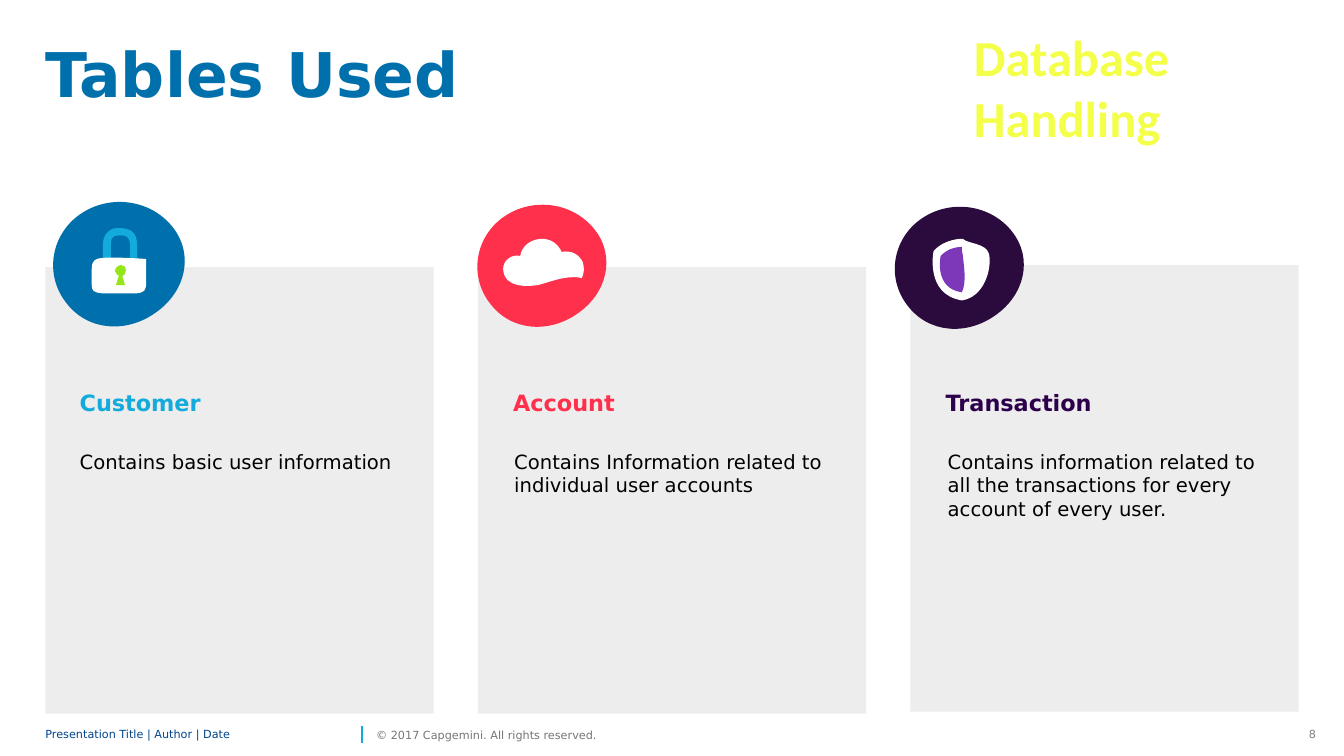
from lxml import etree
from pptx import Presentation
from pptx.dml.color import RGBColor
from pptx.enum import shapes, text
from pptx.oxml import ns
from pptx.util import Inches, Pt

SANS = "DejaVu Sans"
PITCH = 4.29
BLOB = [(0.21, 1.06), (0, 0.79, 0.06, 0.4, 0.35, 0.2), (0.64, 0, 1.04, 0.06, 1.25, 0.33),
        (1.46, 0.6, 1.37, 0.96, 1.08, 1.16), (0.8, 1.36, 0.42, 1.34, 0.21, 1.06)]
SHACKLE = [(1.1, 2.66), (1.02, 2.66, 1.02, 2.66, 1.02, 2.66),
           (1.02, 2.6, 1.02, 2.44, 1.02, 2.44), (1.02, 2.41, 1.02, 2.31, 1.12, 2.27),
           (1.16, 2.26, 1.2, 2.26, 1.25, 2.27), (1.32, 2.28, 1.36, 2.34, 1.36, 2.43),
           (1.36, 2.66, 1.36, 2.66, 1.36, 2.66), (1.29, 2.66, 1.29, 2.66, 1.29, 2.66),
           (1.29, 2.43, 1.29, 2.43, 1.29, 2.43), (1.29, 2.38, 1.27, 2.35, 1.24, 2.34),
           (1.2, 2.33, 1.17, 2.34, 1.14, 2.34), (1.11, 2.35, 1.1, 2.37, 1.1, 2.44),
           (1.1, 2.44, 1.1, 2.6, 1.1, 2.66)]
LOCK_BODY = [(1.01, 2.91), (1.07, 2.91, 1.31, 2.91, 1.36, 2.91),
             (1.43, 2.9, 1.45, 2.89, 1.45, 2.79), (1.45, 2.79, 1.45, 2.65, 1.45, 2.57),
             (1.32, 2.56, 1.09, 2.55, 1.01, 2.56), (0.94, 2.57, 0.91, 2.58, 0.91, 2.68),
             (0.91, 2.82, 0.91, 2.82, 0.91, 2.82), (0.91, 2.89, 0.93, 2.9, 1.01, 2.91)]
KEYHOLE = [(1.2, 2.74), (1.23, 2.74, 1.25, 2.71, 1.25, 2.68), (1.25, 2.65, 1.23, 2.63, 1.2, 2.63),
           (1.17, 2.63, 1.14, 2.66, 1.14, 2.69), (1.15, 2.72, 1.17, 2.74, 1.2, 2.74)]
KEY_SLOT = [(1.18, 2.73), (1.15, 2.83), (1.24, 2.83), (1.21, 2.73), (1.18, 2.73)]
CLOUD = [(5.78, 2.6), (5.74, 2.52, 5.66, 2.48, 5.57, 2.5), (5.57, 2.5, 5.52, 2.36, 5.36, 2.37),
         (5.24, 2.38, 5.17, 2.46, 5.16, 2.54), (5.09, 2.52, 4.99, 2.57, 4.99, 2.67),
         (4.99, 2.67, 4.99, 2.67, 4.99, 2.67), (5, 2.87, 5.26, 2.84, 5.32, 2.83),
         (5.32, 2.83, 5.32, 2.83, 5.32, 2.83), (5.4, 2.82, 5.54, 2.75, 5.69, 2.75),
         (5.72, 2.75, 5.75, 2.75, 5.77, 2.76), (5.79, 2.72, 5.8, 2.66, 5.78, 2.6)]
SHIELD = [(9.26, 2.49), (9.38, 2.36, 9.55, 2.37, 9.55, 2.37), (9.6, 2.42, 9.78, 2.41, 9.81, 2.52),
          (9.84, 2.67, 9.76, 2.95, 9.54, 2.98), (9.17, 2.92, 9.26, 2.49, 9.26, 2.49)]
SHIELD_HALF = [(9.55, 2.53), (9.55, 2.53, 9.55, 2.53, 9.55, 2.53),
               (9.55, 2.53, 9.55, 2.53, 9.55, 2.53), (9.54, 2.49, 9.54, 2.47, 9.54, 2.45),
               (9.52, 2.45, 9.41, 2.45, 9.33, 2.54), (9.33, 2.54, 9.26, 2.86, 9.54, 2.9),
               (9.59, 2.8, 9.56, 2.64, 9.55, 2.53)]
CARDS = [
    dict(top=2.65, colour="12ABDB", heading="Customer", heading_inset=0.34,
         detail="Contains basic user information", detail_inset=0.34,
         badge=(0.44, 1.92, 1.02, "0070AD"),
         icon=[(SHACKLE, "12ABDB"), (LOCK_BODY, "FFFFFF"),
               (KEYHOLE, "95E616"), (KEY_SLOT, "95E616")]),
    dict(top=2.65, colour="FF304C", heading="Account", heading_inset=0.35,
         detail="Contains Information related to individual user accounts", detail_inset=0.36,
         badge=(4.65, 1.95, 1, "FF304C"), icon=[(CLOUD, "FFFFFF")]),
    dict(top=2.63, colour="2C004B", heading="Transaction", heading_inset=0.35,
         detail="Contains information related to all the transactions for every account "
                "of every user.", detail_inset=0.37,
         badge=(8.79, 1.97, 1, "2B0A3D"), icon=[(SHIELD, "FFFFFF"), (SHIELD_HALF, "7D38BA")]),
]


def rgb(colour):
    """Turn a hex string into a colour."""
    return RGBColor.from_string(colour)


def assign(target, values):
    """Set every attribute named in values."""
    for attribute, value in values.items():
        setattr(target, attribute, value)


def fill_plain(shape, colour):
    """Give a shape a solid fill without outline or shadow."""
    shape.shadow.inherit = False
    shape.fill.solid()
    shape.fill.fore_color.rgb = rgb(colour)
    shape.line.fill.background()


def write(holder, wording, size, colour, bold=False, face=SANS, inset=(0, 0), wrap=True,
          anchor=text.MSO_ANCHOR.TOP, **paragraph_format):
    """Put one formatted paragraph in a text holder."""
    side, edge = map(Inches, inset)
    frame = holder.text_frame
    assign(frame, dict(text=wording, word_wrap=wrap, auto_size=text.MSO_AUTO_SIZE.NONE,
                       vertical_anchor=anchor, margin_left=side, margin_right=side,
                       margin_top=edge, margin_bottom=edge))
    paragraph = frame.paragraphs[0]
    assign(paragraph, {"alignment": text.PP_ALIGN.LEFT, **paragraph_format})
    font = paragraph.runs[0].font
    assign(font, dict(name=face, size=Pt(size), bold=bold))
    font.color.rgb = rgb(colour)


def label(slide, box, *args, **kwargs):
    """Add a text box at left, top, width, height."""
    write(slide.shapes.add_textbox(*map(Inches, box)), *args, **kwargs)


def draw(group, path, colour, left=0, top=0, scale=1):
    """Draw a filled outline of straight and cubic segments."""
    points = [(Inches(left + x * scale), Inches(top + y * scale))
              for segment in path for x, y in zip(segment[::2], segment[1::2])]
    builder = group.shapes.build_freeform(*points[0])
    builder.add_line_segments(points[1:], close=False)
    shape = builder.convert_to_shape()
    steps = iter(shape._element.findall(".//" + ns.qn("a:lnTo")))
    for segment in path[1:]:
        step = next(steps)
        if len(segment) == 6:
            step.addprevious(curve := etree.Element(ns.qn("a:cubicBezTo")))
            for knot in (step, next(steps), next(steps)):
                curve.append(knot[0])
                knot.getparent().remove(knot)
    fill_plain(shape, colour)


def add_panel(slide, left, top):
    """Add the grey panel of a card."""
    panel = slide.shapes.add_shape(shapes.MSO_SHAPE.RECTANGLE, Inches(left), Inches(top),
                                   Inches(3.85), Inches(4.43))
    fill_plain(panel, "EDEDED")


def add_card_text(slide, left, card):
    """Add the heading and detail of a card."""
    label(slide, (left + card["heading_inset"], 3.65, 3.16, 0.71), card["heading"], 16,
          card["colour"], bold=True, anchor=text.MSO_ANCHOR.MIDDLE,
          line_spacing=Pt(18), space_after=Pt(6))
    label(slide, (left + card["detail_inset"], 4.46, 3.14, 1.87), card["detail"], 14,
          "000000", space_after=Pt(6))


def add_badge(slide, card):
    """Add the grouped blob and icon of a card."""
    group = slide.shapes.add_group_shape()
    left, top, scale, colour = card["badge"]
    draw(group, BLOB, colour, left, top, scale)
    for path, part_colour in card["icon"]:
        draw(group, path, part_colour)


def add_footer(slide):
    """Add the footer texts, divider and page number."""
    middle = text.MSO_ANCHOR.MIDDLE
    label(slide, (12.88, 7.17, 0.27, 0.24), "8", 8, "808080", inset=(0.1, 0.05), wrap=False,
          alignment=text.PP_ALIGN.RIGHT)
    divider = slide.shapes.add_connector(shapes.MSO_CONNECTOR.STRAIGHT, Inches(3.59),
                                         Inches(7.37), Inches(3.59), Inches(7.2))
    divider.line.color.rgb = rgb("12ABDB")
    divider.line.width = Pt(1)
    etree.SubElement(divider._element.spPr, ns.qn("a:effectLst"))
    label(slide, (0.45, 7.17, 3.09, 0.24), "Presentation Title | Author | Date", 8, "00458D",
          anchor=middle, line_spacing=0.85)
    label(slide, (3.73, 7.17, 2.43, 0.24), "© 2017 Capgemini. All rights reserved.", 8,
          "767676", wrap=False, anchor=middle)


def main():
    """Build and save the slide."""
    deck = Presentation()
    assign(deck, dict(slide_width=Inches(13.33), slide_height=Inches(7.5)))
    slide = deck.slides.add_slide(deck.slide_layouts[5])
    title = slide.shapes.title
    assign(title, dict(left=Inches(0.45), top=Inches(0.44), width=Inches(7.08),
                       height=Inches(0.94)))
    write(title, "Tables Used", 44, "0070AD", bold=True, line_spacing=0.9)
    lefts = [0.45 + column * PITCH for column in range(len(CARDS))]
    for left, card in zip(lefts, CARDS):
        add_panel(slide, left, card["top"])
    add_footer(slide)
    for left, card in zip(lefts, CARDS):
        add_card_text(slide, left, card)
    label(slide, (9.66, 0.26, 3.2, 0.96), "Database Handling", 36, "F4FF49", bold=True,
          face="Calibri", space_after=Pt(6))
    for card in CARDS:
        add_badge(slide, card)
    deck.save("out.pptx")


if __name__ == "__main__":
    main()
